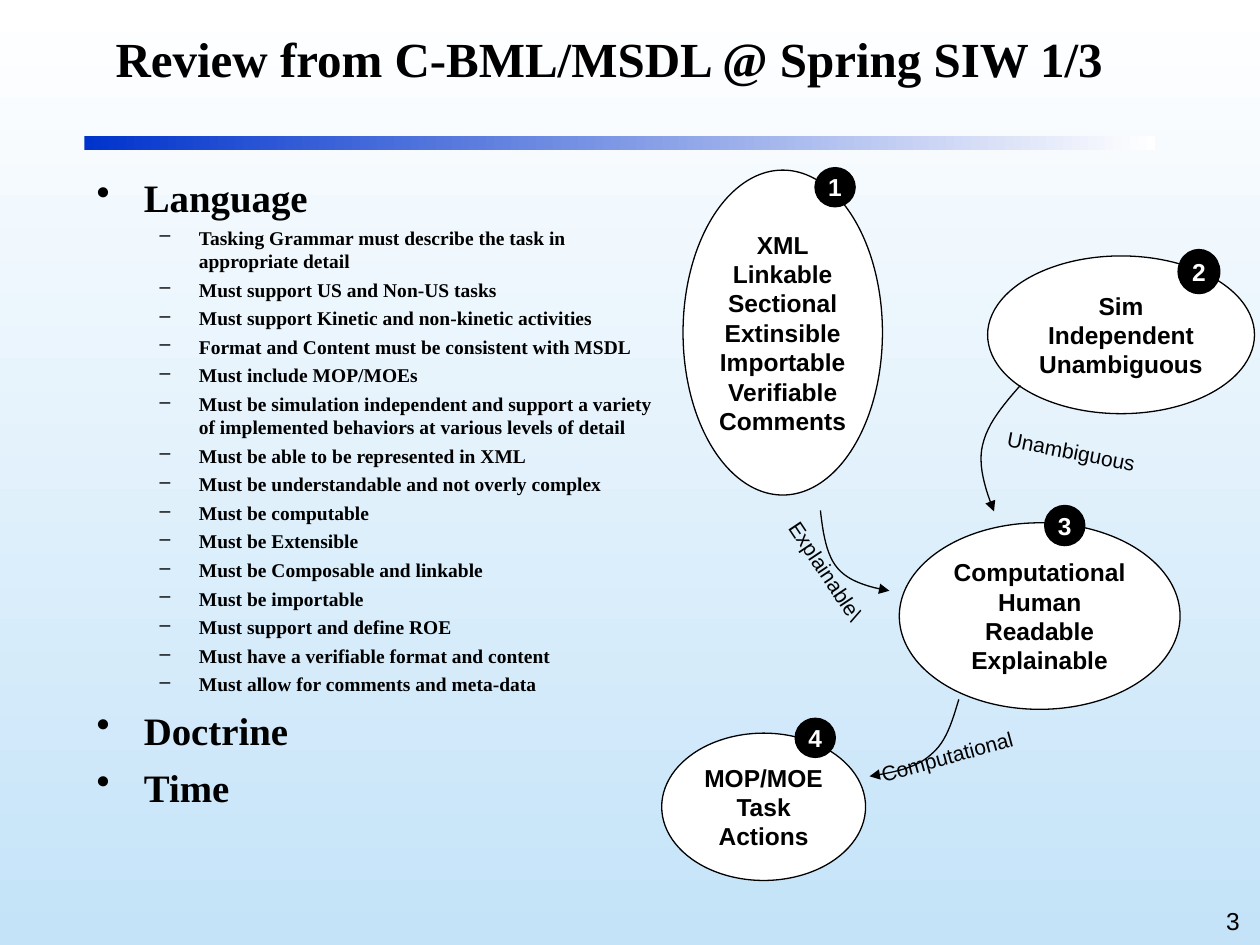
import pptx
import pptx.dml.color
import pptx.enum.shapes
import pptx.enum.text
import pptx.oxml
import pptx.oxml.ns
import pptx.util

Cm = pptx.util.Cm
Pt = pptx.util.Pt
ALIGN = pptx.enum.text.PP_ALIGN
MIDDLE = pptx.enum.text.MSO_ANCHOR.MIDDLE
SHAPE = pptx.enum.shapes.MSO_SHAPE

SERIF = {"name": "Times New Roman", "bold": True}
HEADING = {**SERIF, "size": Pt(28)}
TOPIC = {**SERIF, "size": Pt(22.2)}
DETAIL = {**SERIF, "size": Pt(11.1)}
NUMBER = {"name": "Arial", "size": Pt(14)}
BUBBLE = {**NUMBER, "bold": True}
LABEL = {"name": "Arial", "size": Pt(12)}

REQUIREMENTS = [
    "Tasking Grammar must describe the task in appropriate detail",
    "Must support US and Non-US tasks",
    "Must support Kinetic and non-kinetic activities",
    "Format and Content must be consistent with MSDL",
    "Must include MOP/MOEs",
    "Must be simulation independent and support a variety of implemented "
    "behaviors at various levels of detail",
    "Must be able to be represented in XML",
    "Must be understandable and not overly complex",
    "Must be computable",
    "Must be Extensible",
    "Must be Composable and linkable",
    "Must be importable",
    "Must support and define ROE",
    "Must have a verifiable format and content",
    "Must allow for comments and meta-data",
]
OUTLINE = [("Language", REQUIREMENTS), ("Doctrine", []), ("Time", [])]

BUBBLES = [
    ("1", (13.77, 3.43, 4.02, 6.55), (16.43, 3.38, 0.81, 0.79),
     ["XML", "Linkable", "Sectional", "Extinsible", "Importable", "Verifiable", "Comments"]),
    ("2", (19.91, 5.16, 5.38, 3.18), (23.75, 5.03, 0.84, 0.89),
     ["Sim Independent", "Unambiguous"]),
    ("4", (13.34, 14.78, 4.11, 2.97), (16.03, 14.48, 0.81, 0.79),
     ["MOP/MOE", "Task", "Actions"]),
    ("3", (18.13, 10.54, 5.66, 3.76), (21.06, 10.19, 0.81, 0.81),
     ["Computational", "Human Readable", "Explainable"]),
]
ARROWS = [
    [(20.57, 7.77), (20.24, 8.15), (19.91, 8.53), (19.81, 8.97),
     (19.71, 9.37), (19.86, 9.86), (20.04, 10.31)],
    [(16.54, 10.29), (16.59, 10.74), (16.66, 11.2), (16.89, 11.46),
     (17.12, 11.73), (17.53, 11.84), (17.93, 11.91)],
    [(19.33, 14.1), (19.2, 14.53), (19.08, 14.96), (18.77, 15.21),
     (18.47, 15.49), (18.01, 15.57), (17.53, 15.65)],
]
LABELS = [
    ("Computational", 17.24, 14.86, -15.3),
    ("Explainable\\", 14.6, 11.05, 56.3),
    ("Unambiguous", 19.66, 8.71, 11),
]


def color(value):
    """Return the colour for a hex string."""
    return pptx.dml.color.RGBColor.from_string(value)


def apply_format(target, values):
    """Set every attribute named in a dict of format values."""
    for name, value in values.items():
        setattr(target, name, value)


def fill_gradient(fill, first, last, angle):
    """Fill with a linear gradient between two colours."""
    fill.gradient()
    fill.gradient_angle = angle
    for stop, value in zip(fill.gradient_stops, (first, last)):
        stop.color.rgb = color(value)


def add_paragraph(frame, text, font, ink="000000", bullet=None, **layout):
    """Write the next paragraph of a text frame and return it."""
    para = frame.paragraphs[0]
    if para.runs:
        para = frame.add_paragraph()
    if bullet:
        mark, margin, indent = bullet
        properties = para._p.get_or_add_pPr()
        properties.set("marL", str(Cm(margin)))
        properties.set("indent", str(Cm(indent)))
        properties.append(pptx.oxml.parse_xml(
            f'<a:buChar {pptx.oxml.ns.nsdecls("a")} char="{mark}"/>'))
    apply_format(para, layout)
    span = para.add_run()
    span.text = text
    apply_format(span.font, font)
    span.font.color.rgb = color(ink)
    return para


def add_text(page, place, text, font, align=ALIGN.LEFT, **settings):
    """Add a text box holding one paragraph."""
    box = page.shapes.add_textbox(*map(Cm, place))
    apply_format(box.text_frame, {"word_wrap": True, **settings})
    add_paragraph(box.text_frame, text, font, alignment=align)
    return box


def add_outline(page):
    """Add the bulleted list of topics and their requirements."""
    box = page.shapes.add_textbox(Cm(1.7), Cm(3.38), Cm(11.9), Cm(13.64))
    frame = box.text_frame
    frame.word_wrap = True
    for topic, details in OUTLINE:
        para = add_paragraph(frame, topic, TOPIC, bullet=("•", 0.95, -0.95))
        if topic != OUTLINE[0][0]:
            para.space_before = Pt(6)
        for detail in details:
            add_paragraph(frame, detail, DETAIL, bullet=("–", 2.06, -0.79),
                          level=1, space_before=Pt(3))


def add_ellipse(group, place, lines, background, ink):
    """Add an outlined ellipse with centred lines of text."""
    ellipse = group.shapes.add_shape(SHAPE.OVAL, *map(Cm, place))
    ellipse.shadow.inherit = False
    ellipse.fill.solid()
    ellipse.fill.fore_color.rgb = color(background)
    ellipse.line.color.rgb = color("000000")
    ellipse.line.width = Pt(0.75)
    apply_format(ellipse.text_frame, {
        "word_wrap": True, "vertical_anchor": MIDDLE,
        "margin_left": Cm(0.1), "margin_right": Cm(0.1),
        "margin_top": Cm(0.08), "margin_bottom": Cm(0.08)})
    for line in lines:
        add_paragraph(ellipse.text_frame, line, BUBBLE, ink, alignment=ALIGN.CENTER)


def add_bubble(page, number, place, badge, lines):
    """Add a group of a white bubble and its numbered black badge."""
    group = page.shapes.add_group_shape()
    add_ellipse(group, place, lines, "FFFFFF", "000000")
    add_ellipse(group, badge, [number], "000000", "FFFFFF")


def curve_points(controls, steps=12):
    """Return points along a chain of cubic Bezier curves."""
    points = [controls[0]]
    for first in range(0, len(controls) - 1, 3):
        for step in range(1, steps + 1):
            t = step / steps
            weights = ((1 - t) ** 3, 3 * t * (1 - t) ** 2, 3 * t ** 2 * (1 - t), t ** 3)
            points.append(tuple(
                sum(w * p[axis] for w, p in zip(weights, controls[first:first + 4]))
                for axis in (0, 1)))
    return [(Cm(x), Cm(y)) for x, y in points]


def add_curved_arrow(page, controls):
    """Add a thin curve with an arrowhead at its end."""
    start, *rest = curve_points(controls)
    builder = page.shapes.build_freeform(*start)
    builder.add_line_segments(rest, close=False)
    curve = builder.convert_to_shape()
    curve.shadow.inherit = False
    curve.fill.background()
    curve.line.color.rgb = color("000000")
    curve.line.width = Pt(0.75)
    outline = curve.element.spPr.find(pptx.oxml.ns.qn("a:ln"))
    outline.append(pptx.oxml.parse_xml(
        f'<a:tailEnd {pptx.oxml.ns.nsdecls("a")} type="triangle"/>'))


def main():
    """Build the slide and save the deck."""
    deck = pptx.Presentation()
    deck.slide_width, deck.slide_height = Cm(25.4), Cm(19.05)
    page = deck.slides.add_slide(deck.slide_layouts[6])
    fill_gradient(page.background.fill, "FFFFFF", "C4E3F8", 270)
    rule = page.shapes.add_shape(SHAPE.RECTANGLE, Cm(1.7), Cm(2.75), Cm(21.59), Cm(0.28))
    rule.shadow.inherit = False
    rule.line.fill.background()
    fill_gradient(rule.fill, "0033CC", "FFFFFF", 0)
    add_text(page, (23.34, 18.14, 1.9, 0.69), "3", NUMBER, ALIGN.RIGHT)
    add_text(page, (0, 0, 24.56, 2.34), "Review from C-BML/MSDL @ Spring SIW 1/3",
             HEADING, ALIGN.CENTER, vertical_anchor=MIDDLE)
    add_outline(page)
    for bubble in BUBBLES:
        add_bubble(page, *bubble)
    for controls in ARROWS:
        add_curved_arrow(page, controls)
    for text, left, top, angle in LABELS:
        label = add_text(page, (left, top, 3.8, 1.14), text, LABEL, ALIGN.CENTER,
                         word_wrap=False)
        label.rotation = angle
    deck.save("out.pptx")


if __name__ == "__main__":
    main()
